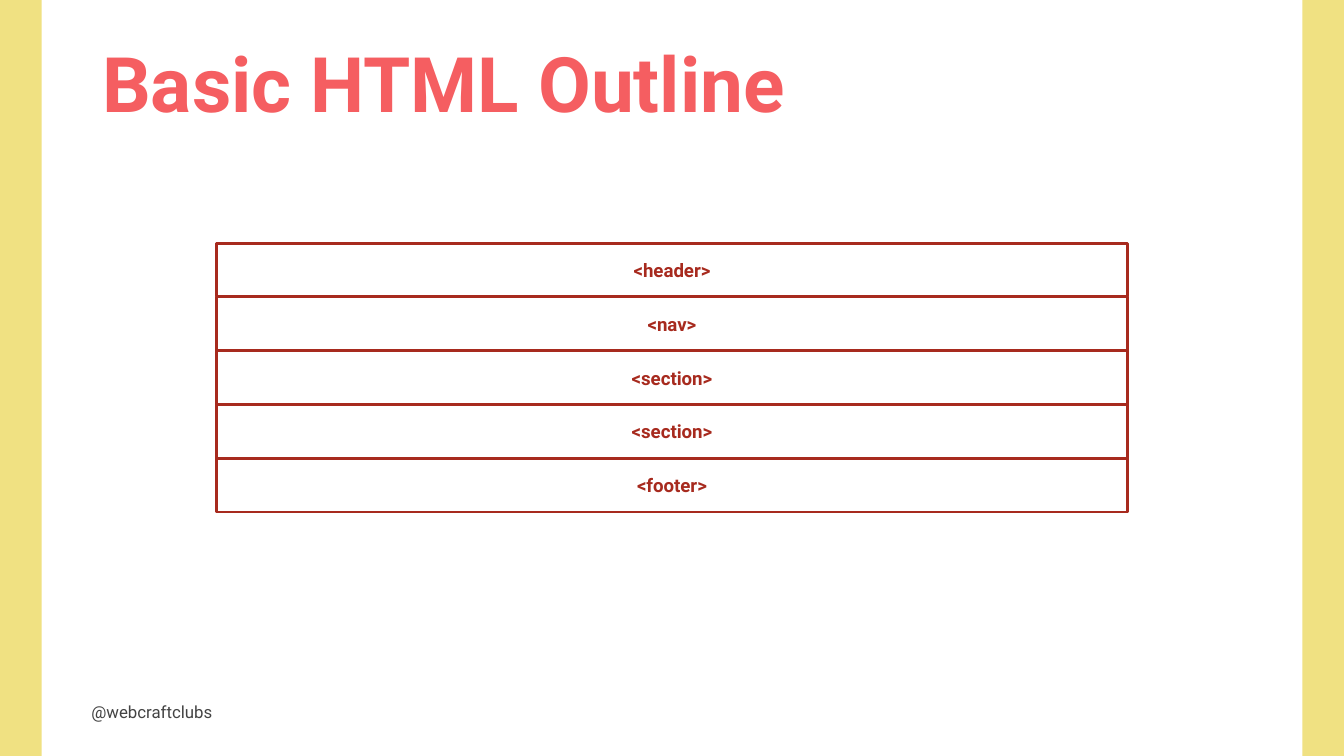
from pptx import Presentation
from pptx.dml.color import RGBColor
from pptx.enum.shapes import MSO_SHAPE as Shape
from pptx.enum.text import MSO_ANCHOR as Anchor, MSO_AUTO_SIZE as Fit, PP_ALIGN as Align
from pptx.util import Inches, Pt

COLORS = {"band": "F0E182", "title": "F55E61", "box": "A72A1E", "note": "434343"}
FONT = "Roboto"
WIDE = 10
HIGH = WIDE * 9 / 16
BAND = 0.31
TAGS = ["<header>", "<nav>", "<section>", "<section>", "<footer>"]
LEFT, TOP, WIDTH, ROW = 1.61, 1.81, 6.78, 0.4


def color(name):
    return RGBColor.from_string(COLORS[name])


def write(shape, text, size, tint, pad, bold=False, align=Align.LEFT):
    frame = shape.text_frame
    frame.text = text
    frame.word_wrap = True
    frame.auto_size = Fit.NONE
    frame.vertical_anchor = Anchor.MIDDLE
    frame.margin_left = frame.margin_right = Inches(pad[0])
    frame.margin_top = frame.margin_bottom = Inches(pad[1])
    para = frame.paragraphs[0]
    para.alignment = align
    font = para.font
    font.name, font.size, font.bold = FONT, Pt(size), bold
    font.color.rgb = color(tint)
    return para


def add_rect(slide, x, y, w, h):
    rect = slide.shapes.add_shape(Shape.RECTANGLE, Inches(x), Inches(y), Inches(w), Inches(h))
    rect.shadow.inherit = False
    return rect


def add_band(slide, x):
    band = add_rect(slide, x, 0, BAND, HIGH)
    band.fill.solid()
    band.fill.fore_color.rgb = color("band")
    band.line.fill.background()


def add_title(slide, text):
    title = slide.shapes.title
    title.left, title.top = Inches(0.69), Inches(0.11)
    title.width, title.height = Inches(8.62), Inches(1.09)
    para = write(title, text, 41, "title", (0.07, 0.04), bold=True)
    para.line_spacing = 0.9


def add_note(slide, text):
    note = slide.shapes.add_textbox(Inches(0.61), Inches(5.15), Inches(1.7), Inches(0.3))
    write(note, text, 9, "note", (0.07, 0.07))


def add_box(slide, text, y):
    box = add_rect(slide, LEFT, y, WIDTH, ROW)
    box.fill.background()
    box.line.color.rgb = color("box")
    box.line.width = Pt(1.5)
    write(box, text, 10, "box", (0.1, 0.1), bold=True, align=Align.CENTER)


def main():
    deck = Presentation()
    deck.slide_width, deck.slide_height = Inches(WIDE), Inches(HIGH)
    slide = deck.slides.add_slide(deck.slide_layouts[5])
    add_note(slide, "@webcraftclubs")
    for x in (WIDE - BAND, 0):
        add_band(slide, x)
    add_title(slide, "Basic HTML Outline")
    for i, tag in enumerate(TAGS):
        add_box(slide, tag, TOP + i * ROW)
    deck.save("out.pptx")


main()
